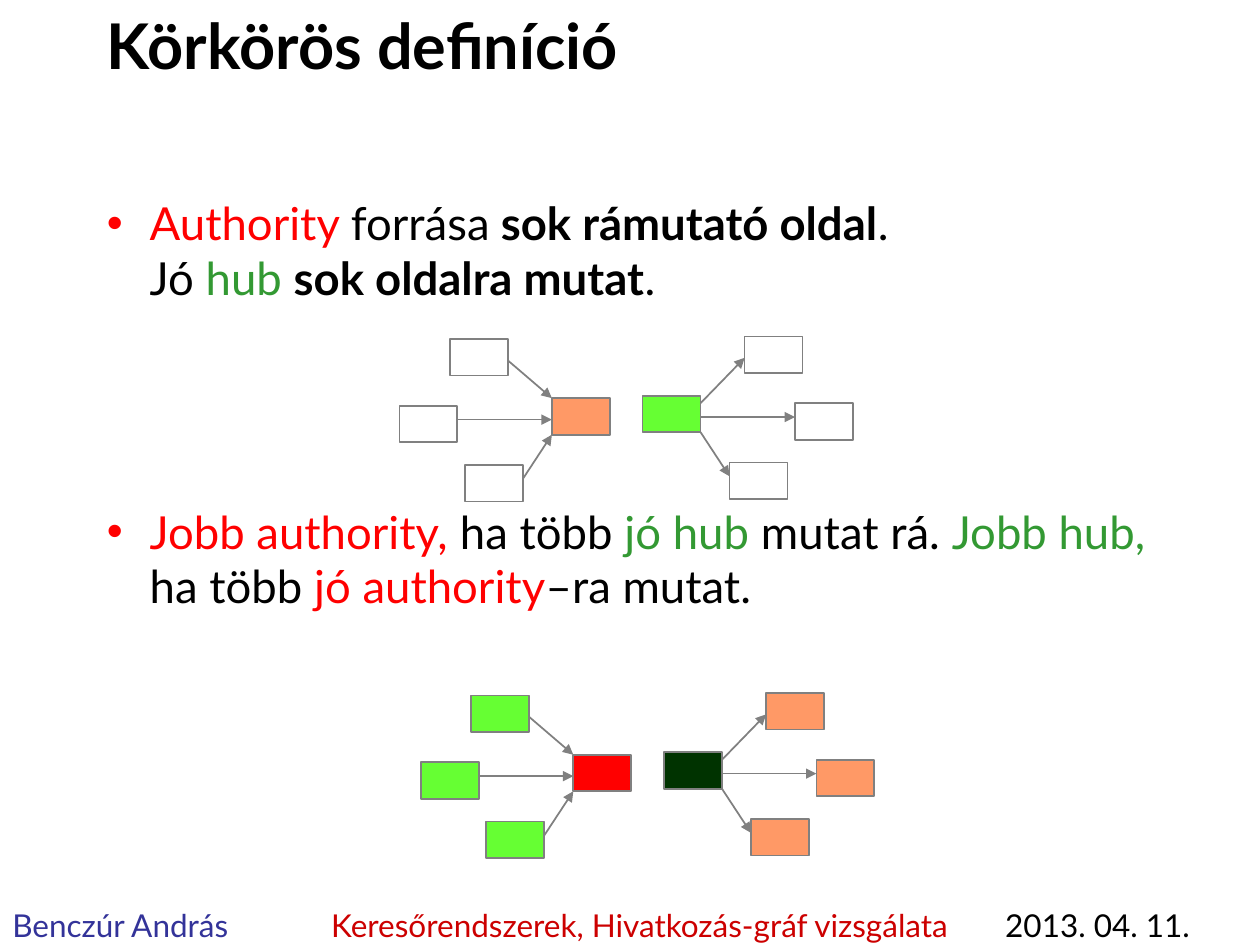
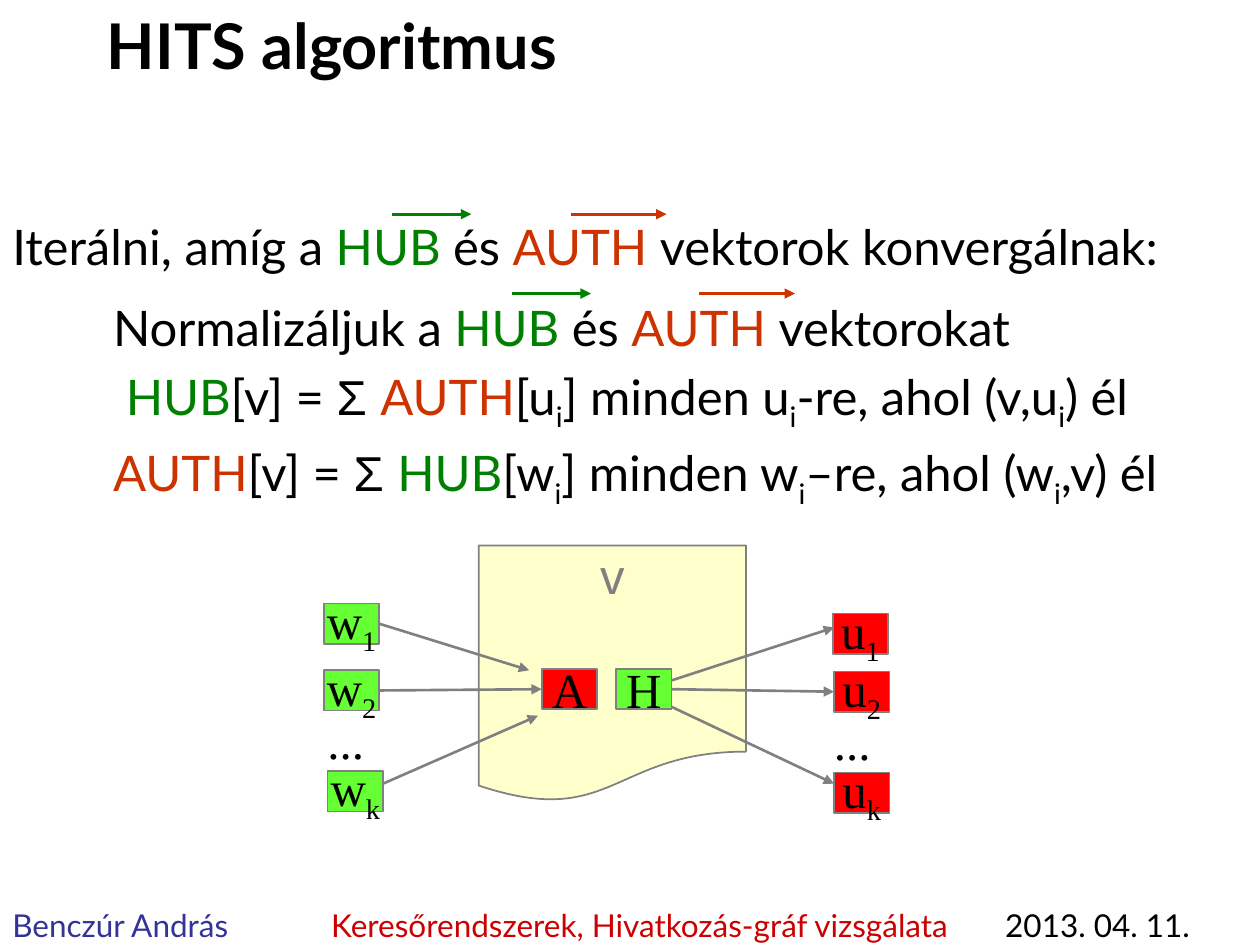
from lxml import etree
from pptx import Presentation
from pptx.dml.color import RGBColor
from pptx.enum import shapes, text
from pptx.oxml import ns
from pptx.util import Inches, Pt

COLOURS = {
    "black": "000000", "grey": "808080", "red": "FF0000", "orange": "FF9966",
    "lime": "66FF33", "forest": "003300", "leaf": "339933", "hub": "008000",
    "auth": "CC3300", "cream": "FFFFCC", "author": "333399", "course": "CC0000",
}
SANS, SERIF, SYMBOL = "Lato", "Times New Roman", "Arial"
NODE = (0.46, 0.29)
LABEL_NODE = (0.44, 0.32)
SPOKES = [(0.81, -0.47, 0.17), (1.21, 0.06, 0.11), (0.69, 0.53, 0.11)]
MIDDLE = text.MSO_ANCHOR.MIDDLE
CENTER = text.PP_ALIGN.CENTER
RIGHT_SIDE, LEFT_SIDE = 3, 1


def colour(name):
    """Return the named colour."""
    return RGBColor.from_string(COLOURS[name])


def add_runs(para, runs, size, font=SANS):
    """Add (words, colour, option) runs; options are bold, sub and symbol."""
    for words, shade, *options in runs:
        for index, piece in enumerate(words.split("\n")):
            if index:
                para.add_line_break()
            span = para.add_run()
            span.text = piece
            span.font.size = Pt(size)
            span.font.name = SYMBOL if "symbol" in options else font
            span.font.bold = "bold" in options
            span.font.color.rgb = colour(shade)
            if "sub" in options:
                span._r.get_or_add_rPr().set("baseline", "-25000")


def add_text(page, place, runs, size, font=SANS, wrap=True):
    """Add a text box with one paragraph and return the box."""
    box = page.shapes.add_textbox(*map(Inches, place))
    box.text_frame.word_wrap = wrap
    add_runs(box.text_frame.paragraphs[0], runs, size, font)
    return box


def add_bullet(page, top, runs):
    """Add a bulleted statement at the given height."""
    box = add_text(page, (0.75, top, 8.5, 1), runs, 26)
    settings = box.text_frame.paragraphs[0]._p.get_or_add_pPr()
    settings.set("marL", str(Inches(0.34)))
    settings.set("indent", str(-Inches(0.34)))
    tint = etree.SubElement(settings, ns.qn("a:buClr"))
    etree.SubElement(tint, ns.qn("a:srgbClr")).set("val", COLOURS["red"])
    etree.SubElement(settings, ns.qn("a:buFont")).set("typeface", SYMBOL)
    etree.SubElement(settings, ns.qn("a:buChar")).set("char", "•")


def add_footer(page):
    """Add the author, course and date line."""
    runs = [("Benczúr András", "author"),
            ("\tKeresőrendszerek, Hivatkozás-gráf vizsgálata", "course"),
            ("\t2013. 04. 11.", "black")]
    box = add_text(page, (0, 7.14, 10, 0.4), runs, 18)
    settings = box.text_frame.paragraphs[0]._p.get_or_add_pPr()
    stops = etree.SubElement(settings, ns.qn("a:tabLst"))
    for position in (2.53, 7.88):
        stop = etree.SubElement(stops, ns.qn("a:tab"))
        stop.set("pos", str(Inches(position)))
        stop.set("algn", "l")


def add_page(deck, title):
    """Add a blank slide with the shared title and footer."""
    page = deck.slides.add_slide(deck.slide_layouts[6])
    add_footer(page)
    box = add_text(page, (0.75, 0, 8.5, 0.71), [(title, "black", "bold")], 36)
    box.text_frame.vertical_anchor = MIDDLE
    return page


def add_block(page, place, fill, kind=shapes.MSO_SHAPE.RECTANGLE):
    """Add a grey-edged shape, unfilled when fill is None."""
    box = page.shapes.add_shape(kind, *map(Inches, place))
    box.shadow.inherit = False
    if fill:
        box.fill.solid()
        box.fill.fore_color.rgb = colour(fill)
    else:
        box.fill.background()
    box.line.color.rgb = colour("grey")
    box.line.width = Pt(1)
    return box


def add_arrow(page, start, end, shade="grey", width=1.5):
    """Add a straight arrow from start to end."""
    arrow = page.shapes.add_connector(
        shapes.MSO_CONNECTOR.STRAIGHT, *map(Inches, (*start, *end)))
    arrow.line.color.rgb = colour(shade)
    arrow.line.width = Pt(width)
    etree.SubElement(arrow.line._get_or_add_ln(), ns.qn("a:tailEnd")).set("type", "triangle")
    etree.SubElement(arrow._element.spPr, ns.qn("a:effectLst"))
    return arrow


def add_fan(page, left, top, core_fill, spoke_fill, outward):
    """Add a core page linked to three pages on its right, or from its left."""
    width, height = NODE
    side = 1 if outward else -1
    core_edge = left + width if outward else left
    exits = (0.06 if outward else 0, 0.17, height)
    add_block(page, (left, top, *NODE), core_fill)
    for (across, down, port), leave in zip(SPOKES, exits):
        spoke_left = left + side * across
        add_block(page, (spoke_left, top + down, *NODE), spoke_fill)
        spoke_edge = spoke_left if outward else spoke_left + width
        ends = [(core_edge, top + leave), (spoke_edge, top + down + port)]
        add_arrow(page, *(ends if outward else reversed(ends)), width=1)


def add_label_node(page, left, top, fill, letter, index=""):
    """Add a filled node with a letter and an optional subscript."""
    box = add_block(page, (left, top, *LABEL_NODE), fill)
    frame = box.text_frame
    frame.word_wrap = False
    frame.vertical_anchor = MIDDLE
    para = frame.paragraphs[0]
    para.alignment = CENTER
    runs = [(letter, "black")] + ([(index, "black", "sub")] if index else [])
    add_runs(para, runs, 28, SERIF)
    return box


def add_formulas(page):
    """Add the four lines of the algorithm."""
    hub, auth, sub = ("HUB", "hub"), ("AUTH", "auth"), ("i", "black", "sub")
    both = [("HUB ", "hub"), ("és ", "black"), ("AUTH ", "auth")]
    total = [("[v] = ", "black"), ("Σ ", "black", "symbol")]
    lines = [
        (0, 1.2, [("Iterálni, amíg a ", "black"), *both,
                  ("vektorok konvergálnak:", "black")]),
        (0.8, 1.2, [("Normalizáljuk a ", "black"), *both, ("vektorokat", "black")]),
        (0.9, 1, [hub, *total, auth, ("[u", "black"), sub, ("] minden u", "black"),
                  sub, ("-re, ahol (v,u", "black"), sub, (") él", "black")]),
        (0.8, 1, [auth, *total, hub, ("[w", "black"), sub, ("] minden w", "black"),
                  sub, ("–re, ahol (w", "black"), sub, (",v) él", "black")]),
    ]
    box = page.shapes.add_textbox(*map(Inches, (0, 1.58, 9.8, 2.6)))
    frame = box.text_frame
    frame.word_wrap = True
    for number, (indent, spacing, runs) in enumerate(lines):
        para = frame.add_paragraph() if number else frame.paragraphs[0]
        para._p.get_or_add_pPr().set("marL", str(Inches(indent)))
        para.line_spacing = spacing
        if number:
            para.space_before = Pt(5.6)
        add_runs(para, runs, 28)


def build_definition(deck):
    """Build the slide on the circular definition."""
    page = add_page(deck, "Körkörös definíció")
    add_bullet(page, 1.5, [
        ("Authority ", "red"), ("forrása", "black"),
        (" sok rámutató oldal", "black", "bold"), (". \nJó ", "black"),
        ("hub ", "leaf"), ("sok oldalra mutat", "black", "bold"), (".", "black")])
    add_bullet(page, 3.95, [
        ("Jobb authority, ", "red"), ("ha több ", "black"), ("jó hub", "leaf"),
        (" mutat rá. ", "black"), ("Jobb hub, ", "leaf"), ("ha több ", "black"),
        ("jó authority", "red"), ("–ra mutat.", "black")])
    add_fan(page, 4.38, 3.16, "orange", None, outward=False)
    add_fan(page, 5.1, 3.14, "lime", None, outward=True)
    add_fan(page, 4.55, 5.99, "red", "lime", outward=False)
    add_fan(page, 5.27, 5.97, "forest", "orange", outward=True)


def build_algorithm(deck):
    """Build the slide on the HITS algorithm."""
    page = add_page(deck, "HITS algoritmus")
    add_formulas(page)
    for left, top, length, shade in [(3.11, 1.7, 0.63, "hub"), (4.06, 2.33, 0.63, "hub"),
                                     (4.53, 1.7, 0.76, "auth"), (5.55, 2.33, 0.76, "auth")]:
        add_arrow(page, (left, top), (left + length, top), shade, 1.75)

    add_block(page, (3.8, 4.33, 2.12, 2.04), "cream", shapes.MSO_SHAPE.FLOWCHART_DOCUMENT)
    label = add_text(page, (4.66, 4.33, 0.4, 0.52), [("v", "grey", "symbol")], 28, wrap=False)
    label.text_frame.paragraphs[0].alignment = CENTER
    label.text_frame.paragraphs[0].line_spacing = 0.9

    authority = add_label_node(page, 4.3, 5.31, "red", "A")
    hub = add_label_node(page, 4.89, 5.31, "lime", "H")
    sources = [add_label_node(page, left, top, "lime", "w", index) for left, top, index in
               [(2.57, 4.79, "1"), (2.57, 5.32, "2"), (2.6, 6.12, "k")]]
    targets = [add_label_node(page, left, top, "red", "u", index) for left, top, index in
               [(6.61, 4.87, "1"), (6.62, 5.33, "2"), (6.62, 6.13, "k")]]
    for left, top in [(2.5, 5.59), (6.52, 5.6)]:
        add_text(page, (left, top, 0.71, 0.57), [("...", "black")], 28, SERIF)

    first = add_arrow(page, (3.01, 4.95), (4.2, 5.32))
    first.begin_connect(sources[0], RIGHT_SIDE)
    add_arrow(page, (3.04, 6.22), (4.27, 5.68))
    add_arrow(page, (5.33, 5.4), (6.62, 4.98))
    add_arrow(page, (5.33, 5.61), (6.62, 6.22))
    for start, end in [(sources[1], authority), (hub, targets[1])]:
        link = add_arrow(page, (3.01, 5.48), (4.3, 5.48))
        link.begin_connect(start, RIGHT_SIDE)
        link.end_connect(end, LEFT_SIDE)


def main():
    """Build and save the deck."""
    deck = Presentation()
    deck.slide_width, deck.slide_height = Inches(10), Inches(7.5)
    build_definition(deck)
    build_algorithm(deck)
    deck.save("out.pptx")


if __name__ == "__main__":
    main()
